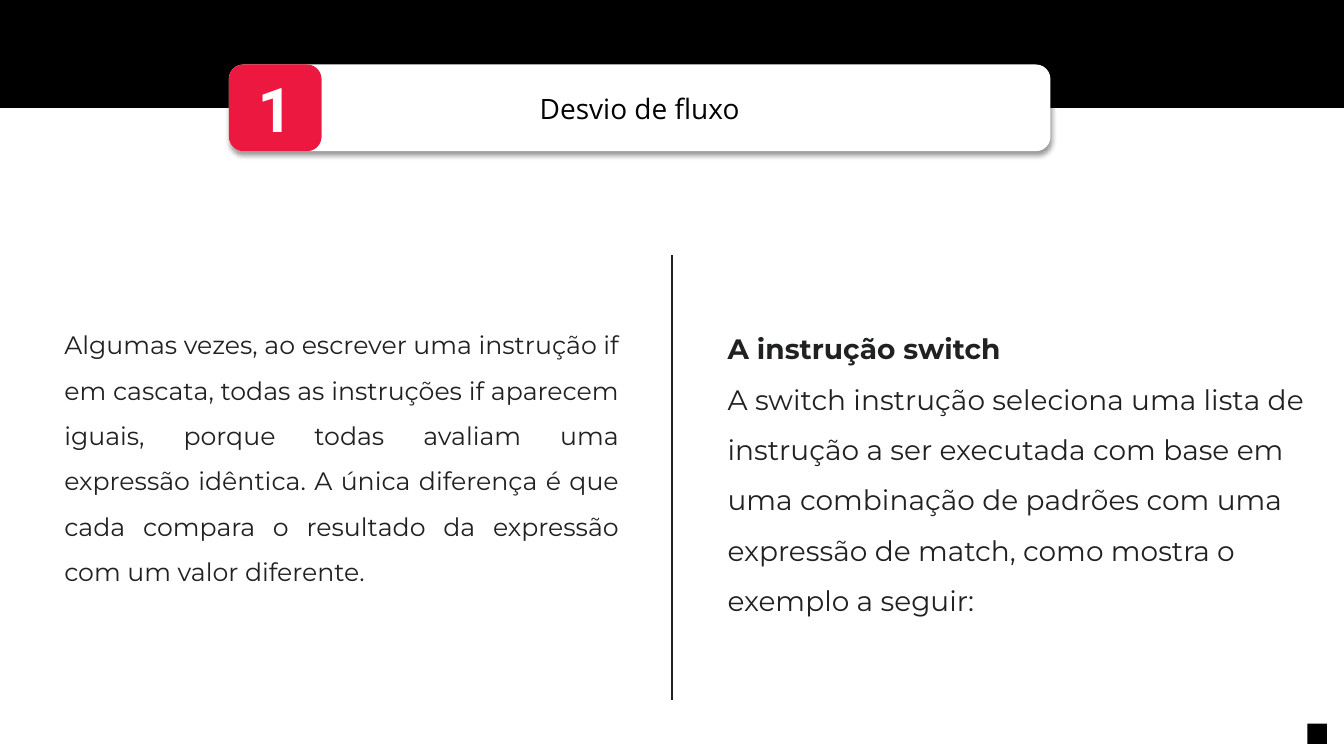
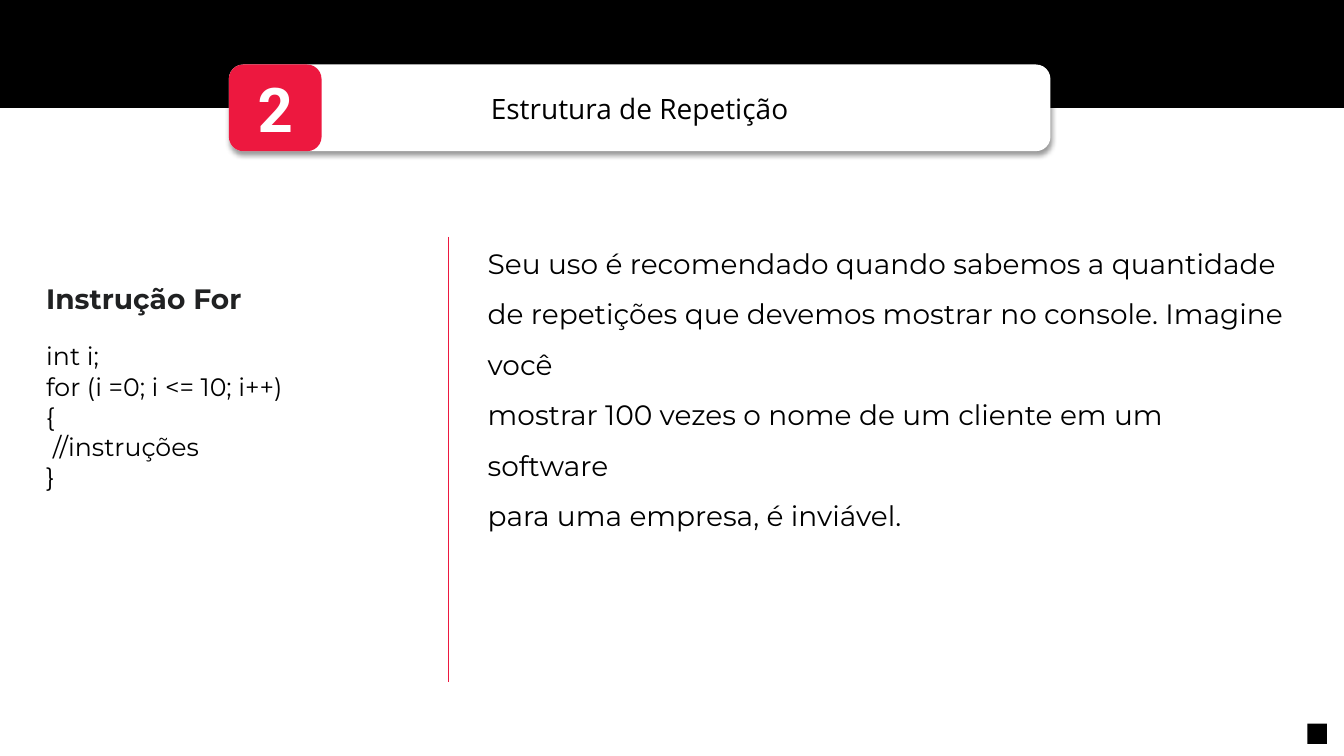
from dataclasses import dataclass

from lxml import etree
from pptx import Presentation, util as u
from pptx.dml.color import RGBColor
from pptx.enum import shapes, text
from pptx.oxml import ns

BLACK = RGBColor(0x00, 0x00, 0x00)
WHITE = RGBColor(0xFF, 0xFF, 0xFF)
RED = RGBColor(0xED, 0x18, 0x3F)
INK = RGBColor(0x20, 0x21, 0x22)

BODY_FONT = "Montserrat"
TITLE_FONT = "Open Sans"
NUMBER_FONT = "Roboto"

SLIDE_WIDTH = u.Inches(13.33)
SLIDE_HEIGHT = u.Inches(7.5)
DIVIDER_LENGTH = 58.93


@dataclass(frozen=True)
class Area:
    """A rectangle in percent of the slide's width and height."""
    left: float
    top: float
    width: float
    height: float

    def lengths(self) -> tuple[int, int, int, int]:
        return (across(self.left), down(self.top),
                across(self.width), down(self.height))


@dataclass(frozen=True)
class Block:
    area: Area
    paragraphs: tuple[str, ...]
    size: int = 20
    color: RGBColor = INK
    spacing: float = 1.0
    anchor: text.MSO_ANCHOR = text.MSO_ANCHOR.TOP
    alignment: text.PP_ALIGN = text.PP_ALIGN.LEFT
    bold_paragraphs: int = 0


@dataclass(frozen=True)
class Topic:
    number: int
    title: str
    divider_left: float
    divider_top: float
    divider_color: RGBColor
    blocks: tuple[Block, ...]


BAND = Area(0, 0, 100, 14.27)
CARD = Area(17.03, 8.53, 61.13, 11.47)
BADGE = Area(CARD.left, CARD.top, 6.9, CARD.height)
CORNER_MARK = Area(97.28, 95.73, 1.46, 2.67)

TOPICS = (
    Topic(1, "Desvio de fluxo", 50, 33.73, INK, (
        Block(Area(53.4, 40.93, 44.55, 41.47),
              ("A instrução switch",
               "A switch instrução seleciona uma lista de instrução a ser "
               "executada com base em uma combinação de padrões com uma "
               "expressão de match, como mostra o exemplo a seguir:"),
              spacing=1.5, anchor=text.MSO_ANCHOR.MIDDLE, bold_paragraphs=1),
        Block(Area(4.05, 40.93, 42.75, 37.07),
              ("Algumas vezes, ao escrever uma instrução if em cascata, todas "
               "as instruções if aparecem iguais, porque todas avaliam uma "
               "expressão idêntica. A única diferença é que cada compara o "
               "resultado da expressão com um valor diferente.",),
              size=18, spacing=1.5, alignment=text.PP_ALIGN.JUSTIFY),
    )),
    Topic(2, "Estrutura de Repetição", 33.38, 31.33, RED, (
        Block(Area(35.55, 26.8, 61.13, 47.2),
              ("Seu uso é recomendado quando sabemos a quantidade",
               "de repetições que devemos mostrar no console. Imagine você",
               "mostrar 100 vezes o nome de um cliente em um software",
               "para uma empresa, é inviável."),
              color=BLACK, spacing=1.5, anchor=text.MSO_ANCHOR.MIDDLE),
        Block(Area(2.7, 36.53, 24, 5.87), ("Instrução For",),
              bold_paragraphs=1),
        Block(Area(2.7, 44.4, 27.83, 21.6),
              ("int i;", "for (i =0; i <= 10; i++)", "{", " //instruções", "}"),
              size=18, color=BLACK),
    )),
)


def across(percent: float) -> int:
    return round(SLIDE_WIDTH * percent / 100)


def down(percent: float) -> int:
    return round(SLIDE_HEIGHT * percent / 100)


def write(shape, paragraphs: tuple[str, ...], *, size: int, font: str = BODY_FONT,
          color: RGBColor = BLACK, bold_paragraphs: int = 0, spacing: float = 1.0,
          alignment=text.PP_ALIGN.CENTER, anchor=text.MSO_ANCHOR.MIDDLE) -> None:
    """Fill a shape with paragraphs, the first bold_paragraphs of them bold."""
    frame = shape.text_frame
    frame.word_wrap = True
    frame.vertical_anchor = anchor
    frame.text = "\n".join(paragraphs)
    for index, paragraph in enumerate(frame.paragraphs):
        paragraph.alignment = alignment
        paragraph.line_spacing = spacing
        for run in paragraph.runs:
            run.font.name = font
            run.font.size = u.Pt(size)
            run.font.bold = index < bold_paragraphs
            run.font.color.rgb = color


def add_panel(slide, area: Area, fill: RGBColor,
              kind=shapes.MSO_SHAPE.RECTANGLE):
    shape = slide.shapes.add_shape(kind, *area.lengths())
    shape.shadow.inherit = False
    shape.fill.solid()
    shape.fill.fore_color.rgb = fill
    shape.line.fill.background()
    return shape


def add_soft_shadow(shape) -> None:
    effects = shape._element.spPr.find(ns.qn("a:effectLst"))
    shadow = etree.SubElement(
        effects, ns.qn("a:outerShdw"), blurRad=str(u.Pt(4)), dist=str(u.Pt(3)),
        dir="5400000", algn="t", rotWithShape="0")
    color = etree.SubElement(shadow, ns.qn("a:srgbClr"), val=str(BLACK))
    etree.SubElement(color, ns.qn("a:alpha"), val="40000")


def add_header(slide, topic: Topic) -> None:
    rounded = shapes.MSO_SHAPE.ROUNDED_RECTANGLE
    add_panel(slide, BAND, BLACK)
    card = add_panel(slide, CARD, WHITE, rounded)
    add_soft_shadow(card)
    write(card, (topic.title,), size=20, font=TITLE_FONT)
    badge = add_panel(slide, BADGE, RED, rounded)
    write(badge, (str(topic.number),), size=44, font=NUMBER_FONT,
          color=WHITE, bold_paragraphs=1)


def add_divider(slide, topic: Topic) -> None:
    left = across(topic.divider_left)
    line = slide.shapes.add_connector(
        shapes.MSO_CONNECTOR.STRAIGHT, left, down(topic.divider_top),
        left, down(topic.divider_top + DIVIDER_LENGTH))
    line.line.color.rgb = topic.divider_color
    line.line.width = u.Pt(0.75)
    etree.SubElement(line._element.spPr, ns.qn("a:effectLst"))


def add_block(slide, block: Block) -> None:
    box = slide.shapes.add_textbox(*block.area.lengths())
    write(box, block.paragraphs, size=block.size, color=block.color,
          bold_paragraphs=block.bold_paragraphs, spacing=block.spacing,
          alignment=block.alignment, anchor=block.anchor)


def add_topic_slide(presentation, topic: Topic) -> None:
    slide = presentation.slides.add_slide(presentation.slide_layouts[6])
    add_header(slide, topic)
    add_divider(slide, topic)
    for block in topic.blocks:
        add_block(slide, block)
    add_panel(slide, CORNER_MARK, BLACK)


def main() -> None:
    presentation = Presentation()
    presentation.slide_width = SLIDE_WIDTH
    presentation.slide_height = SLIDE_HEIGHT
    for topic in TOPICS:
        add_topic_slide(presentation, topic)
    presentation.save("out.pptx")


if __name__ == "__main__":
    main()
